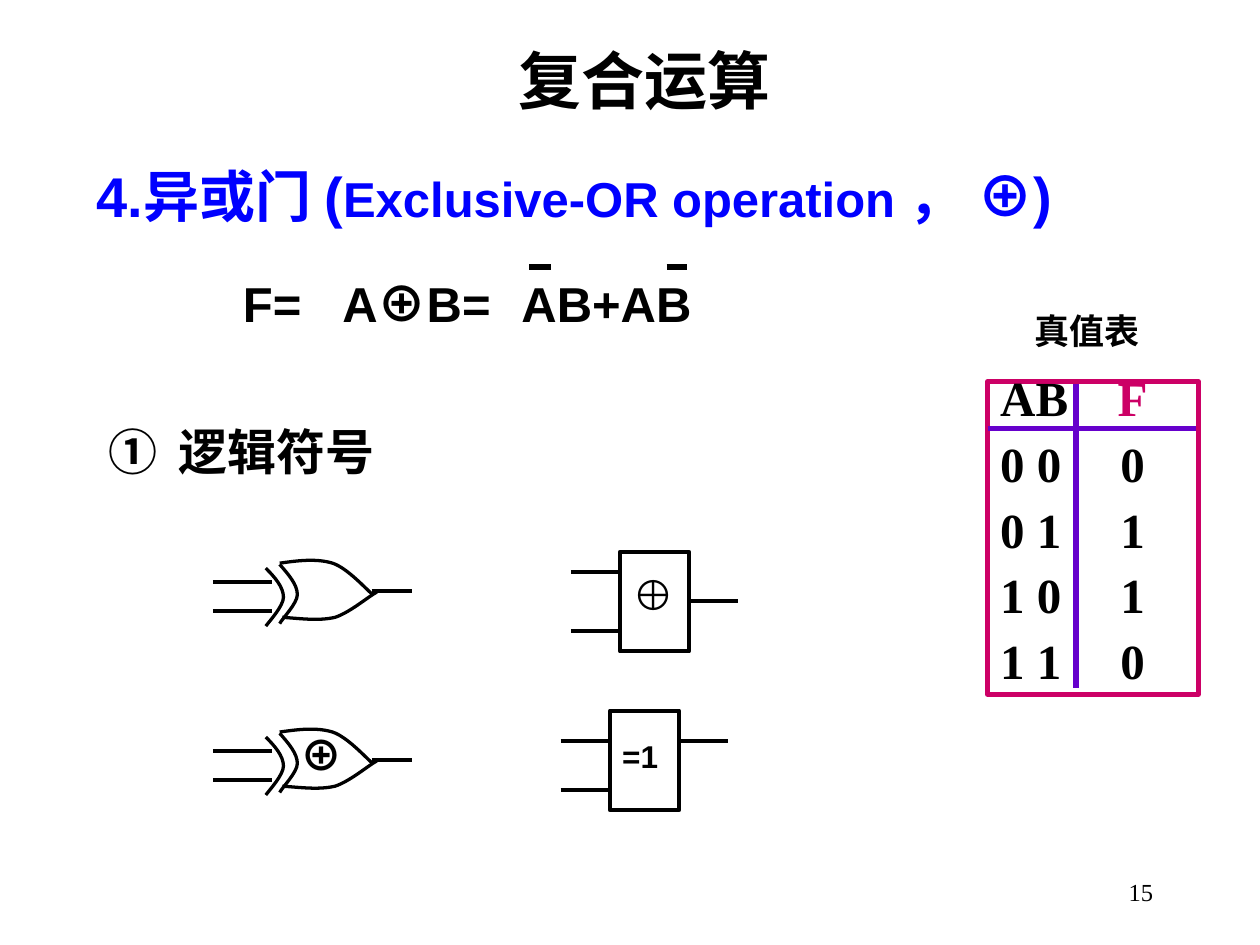
from lxml import etree
from pptx import Presentation
from pptx.dml.color import RGBColor
from pptx.enum.shapes import MSO_CONNECTOR, MSO_SHAPE
from pptx.enum.text import MSO_ANCHOR, PP_ALIGN
from pptx.oxml.ns import qn
from pptx.util import Inches, Pt

STRAIGHT = MSO_CONNECTOR.STRAIGHT
RECTANGLE = MSO_SHAPE.RECTANGLE
LEFT, CENTER, RIGHT = PP_ALIGN.LEFT, PP_ALIGN.CENTER, PP_ALIGN.RIGHT
TOP, MIDDLE = MSO_ANCHOR.TOP, MSO_ANCHOR.MIDDLE

COLORS = {"black": "000000", "blue": "0000FF", "pink": "CC0066",
          "purple": "6600CC", "white": "FFFFFF"}
SANS, SERIF, CJK = "Arial", "Times New Roman", "Noto Sans CJK SC"

TITLE = ("复合运算", 36, SANS)
HEADING = [("4.异或门 (", 32, SANS), ("Exclusive-OR operation ", 28, SANS),
           ("， ⊕)", 32, SANS)]
FORMULA = [
    (1.83, 1.01, [("F=", 28, SANS)]),
    (2.62, 1.5, [("A", 28, SANS), ("⊕", 28, CJK), ("B=", 28, SANS)]),
    (4.04, 1.75, [("AB+AB", 28, SANS)]),
]
FORMULA_TOP = 2.12
OVERLINES = [(4.2, 4.37), (5.29, 5.45)]
SECTION = [("①\t", 28, SERIF), ("逻辑符号", 28, SANS)]
SECTION_TAB = 0.56
TRUTH_CAPTION = [("真值表", 20, SANS)]
TRUTH_ROWS = [("AB", "F"), ("0 0", "0"), ("0 1", "1"), ("1 0", "1"), ("1 1", "0")]
TRUTH_FRAME = (7.84, 3.03, 1.67, 2.48)
TRUTH_RULES = [(8.54, 3.05, 8.54, 5.46), (7.84, 3.4, 9.49, 3.4)]
RESULT_TAB = 1.05

BLOCK_SIZE = (0.55, 0.79)
LEAD = 0.39
BLOCK_GATES = [
    {"at": (4.92, 4.38), "inputs": (0.16, 0.63), "output": 0.39,
     "label": [("⊕", 24, SANS)], "label_box": (0, 0.08, 0.47, 0.5)},
    {"at": (4.84, 5.64), "inputs": (0.24, 0.63), "output": 0.24,
     "label": [("=1", 18, SANS)], "label_box": (0, 0.16, 0.63, 0.4)},
]
CURVED_GATE_OFFSETS = [0, 1.34]
CURVED_GATE_LEADS = [(1.69, 4.62, 2.16), (1.69, 4.85, 2.16), (2.95, 4.69, 3.27)]
CURVED_GATE_OUTLINES = [
    [(2.22, 4.47), (2.36, 4.45), (2.51, 4.43), (2.64, 4.47),
     (2.76, 4.51), (2.91, 4.68), (2.96, 4.72)],
    [(2.24, 4.9), (2.39, 4.91), (2.53, 4.93), (2.66, 4.9),
     (2.78, 4.86), (2.93, 4.73), (2.99, 4.7)],
    [(2.22, 4.48), (2.29, 4.56), (2.36, 4.64), (2.36, 4.72),
     (2.36, 4.79), (2.24, 4.91), (2.22, 4.95)],
    [(2.11, 4.51), (2.18, 4.58), (2.25, 4.66), (2.25, 4.74),
     (2.25, 4.81), (2.14, 4.93), (2.11, 4.97)],
]


def rgb(name):
    return RGBColor.from_string(COLORS[name])


def add_span(para, text, size, font, color="black", bold=True, east_asian=CJK):
    span = para.add_run()
    span.text = text
    span.font.size = Pt(size)
    span.font.bold = bold
    span.font.color.rgb = rgb(color)
    span.font.name = font
    if east_asian:
        typeface = etree.Element(qn("a:ea"), typeface=east_asian)
        span.font._element.find(qn("a:latin")).addnext(typeface)


def add_tab(para, position, align):
    tabs = etree.SubElement(para._p.get_or_add_pPr(), qn("a:tabLst"))
    etree.SubElement(tabs, qn("a:tab"), pos=str(Inches(position)), algn=align)


def add_text(slide, left, top, width, height, spans, align=LEFT, anchor=TOP, **style):
    box = slide.shapes.add_textbox(*map(Inches, (left, top, width, height)))
    box.text_frame.word_wrap = True
    box.text_frame.vertical_anchor = anchor
    para = box.text_frame.paragraphs[0]
    para.alignment = align
    for span in spans:
        add_span(para, *span, **style)
    return para


def add_line(slide, x1, y1, x2, y2, color="black", width=2.25):
    line = slide.shapes.add_connector(STRAIGHT, *map(Inches, (x1, y1, x2, y2)))
    line.line.color.rgb = rgb(color)
    line.line.width = Pt(width)
    etree.SubElement(line._element.spPr, qn("a:effectLst"))


def style_outline(shape, color, width, fill=None):
    shape.shadow.inherit = False
    if fill:
        shape.fill.solid()
        shape.fill.fore_color.rgb = rgb(fill)
    else:
        shape.fill.background()
    shape.line.color.rgb = rgb(color)
    shape.line.width = Pt(width)


def add_curve(slide, controls, offset):
    points = [(Inches(x), Inches(y + offset)) for x, y in controls]
    builder = slide.shapes.build_freeform(*points[0])
    builder.add_line_segments(points[1:], close=False)
    curve = builder.convert_to_shape()
    segments = list(curve._element.iter(qn("a:lnTo")))
    for first in range(0, len(segments), 3):
        bezier = etree.Element(qn("a:cubicBezTo"))
        segments[first].addprevious(bezier)
        for segment in segments[first:first + 3]:
            bezier.append(segment[0])
            segment.getparent().remove(segment)
    style_outline(curve, "black", 1.87)


def add_block_gate(slide, gate):
    left, top = gate["at"]
    width, height = BLOCK_SIZE
    block = slide.shapes.add_shape(RECTANGLE, *map(Inches, (left, top, width, height)))
    style_outline(block, "black", 2.25)
    x, y, label_width, label_height = gate["label_box"]
    add_text(slide, left + x, top + y, label_width, label_height, gate["label"],
             east_asian=None)
    for y in gate["inputs"]:
        add_line(slide, left - LEAD, top + y, left, top + y)
    output = top + gate["output"]
    add_line(slide, left + width, output, left + width + LEAD, output)


def add_truth_table(slide):
    frame = slide.shapes.add_shape(RECTANGLE, *map(Inches, TRUTH_FRAME))
    style_outline(frame, "pink", 3, "white")
    text = frame.text_frame
    text.word_wrap = True
    text.vertical_anchor = TOP
    for index, (inputs, result) in enumerate(TRUTH_ROWS):
        para = text.add_paragraph() if index else text.paragraphs[0]
        para.alignment = LEFT
        para.line_spacing = 0.6
        if index:
            para.space_before = Pt(17.5)
        add_tab(para, RESULT_TAB, "ctr")
        add_span(para, inputs + "\t", 28, SERIF)
        add_span(para, result, 28, SERIF, "black" if index else "pink")
    add_text(slide, 7.76, 2.41, 1.74, 0.44, TRUTH_CAPTION, CENTER)
    for rule in TRUTH_RULES:
        add_line(slide, *rule, color="purple", width=3)


def main():
    deck = Presentation()
    deck.slide_width, deck.slide_height = Inches(10), Inches(7.5)
    slide = deck.slides.add_slide(deck.slide_layouts[5])

    title = slide.shapes.title
    title.left, title.top, title.width, title.height = map(Inches, (1.06, 0.28, 8.11, 0.7))
    title.text_frame.vertical_anchor = TOP
    title.text_frame.paragraphs[0].alignment = CENTER
    add_span(title.text_frame.paragraphs[0], *TITLE)

    add_text(slide, 0.67, 1.23, 8.66, 0.64, HEADING, color="blue")
    add_truth_table(slide)
    for left, width, spans in FORMULA:
        add_text(slide, left, FORMULA_TOP, width, 0.57, spans)
    for start, end in OVERLINES:
        add_line(slide, start, FORMULA_TOP, end, FORMULA_TOP, width=3)
    section = add_text(slide, 0.76, 3.3, 3.71, 0.57, SECTION)
    add_tab(section, SECTION_TAB, "l")

    for gate in BLOCK_GATES:
        add_block_gate(slide, gate)
    for offset in CURVED_GATE_OFFSETS:
        for start, y, end in CURVED_GATE_LEADS:
            add_line(slide, start, y + offset, end, y + offset)
        for controls in CURVED_GATE_OUTLINES:
            add_curve(slide, controls, offset)
    add_text(slide, 2.29, 5.74, 0.63, 0.5, [("⊕", 24, CJK)])
    add_text(slide, 7.17, 6.83, 2.08, 0.5, [("15", 14, SERIF)], RIGHT, MIDDLE, bold=False)
    deck.save("out.pptx")


if __name__ == "__main__":
    main()
